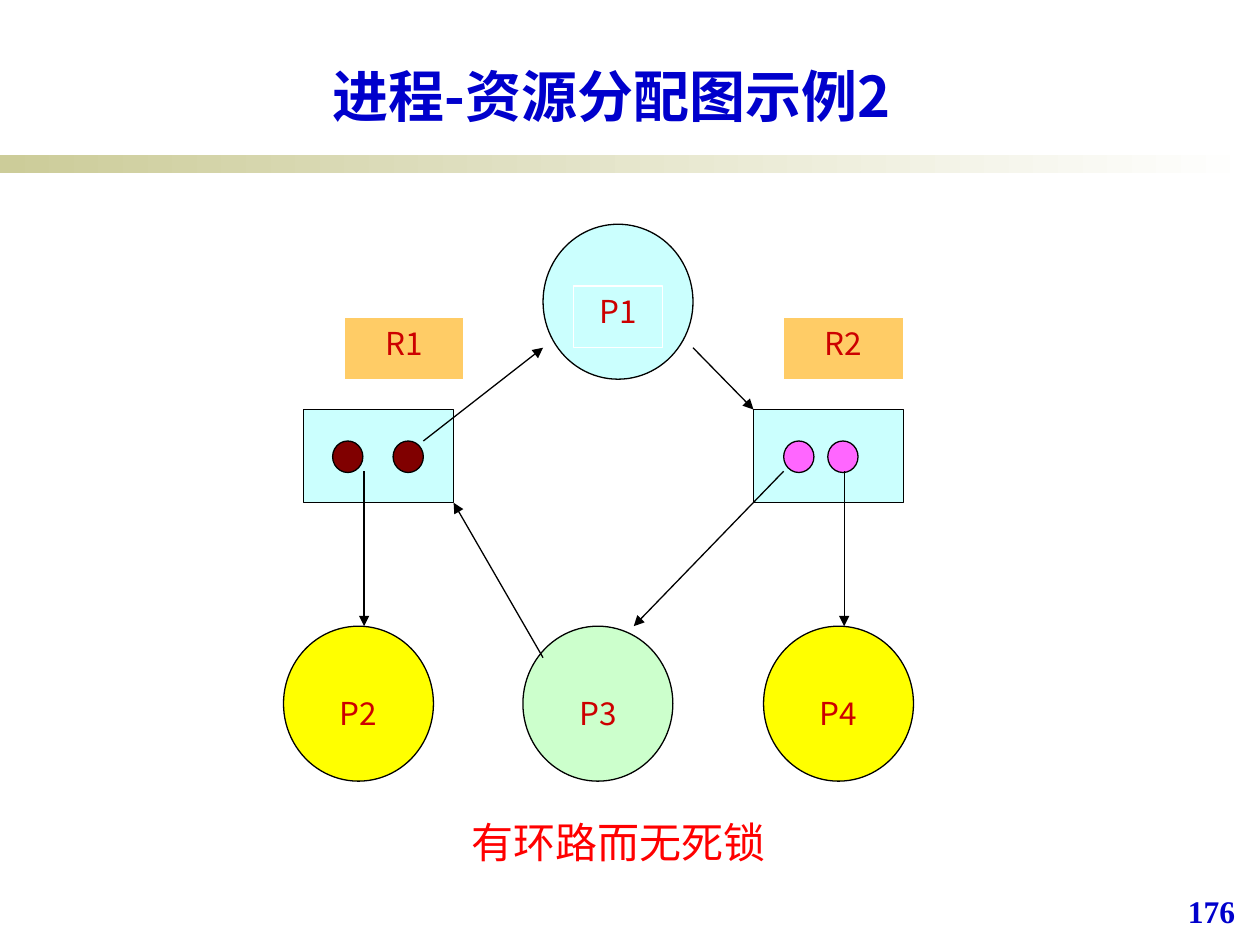
from lxml import etree
from pptx import Presentation
from pptx.dml.color import RGBColor
from pptx.enum import shapes, text
from pptx.oxml import ns
from pptx.util import Inches, Pt

SANS = "Noto Sans CJK JP"
OVAL, RECT = shapes.MSO_SHAPE.OVAL, shapes.MSO_SHAPE.RECTANGLE
color = RGBColor.from_string

prs = Presentation()
prs.slide_width, prs.slide_height = Inches(10), Inches(7.5)
slide = prs.slides.add_slide(prs.slide_layouts[5])


def add_node(kind, box, fill, outline="000000"):
    node = slide.shapes.add_shape(kind, *map(Inches, box))
    node.shadow.inherit = False
    node.fill.solid()
    node.fill.fore_color.rgb = color(fill)
    node.line.color.rgb = color(outline)
    node.line.width = Pt(0.75)
    return node


def write(holder, words, size, ink, font=SANS, bold=False,
          anchor=text.MSO_ANCHOR.TOP, align=text.PP_ALIGN.CENTER, wrap=True):
    frame = holder.text_frame
    frame.text = words
    frame.word_wrap = wrap
    frame.vertical_anchor = anchor
    paragraph = frame.paragraphs[0]
    paragraph.alignment = align
    run = paragraph.runs[0]
    run.font.size, run.font.bold, run.font.name = Pt(size), bold, font
    run.font.color.rgb = color(ink)
    etree.SubElement(run.font._element, ns.qn("a:ea"), typeface=font)


divider = add_node(RECT, (0, 1.23, 9.96, 0.14), "CCCC99")
divider.line.fill.background()
divider.fill.gradient()
divider.fill.gradient_angle = 0
for stop, position, shade in zip(divider.fill.gradient_stops, (0, 1), ("CCCC99", "FFFFFF")):
    stop.position = position
    stop.color.rgb = color(shade)

for name, left in (("R1", 2.73), ("R2", 6.22)):
    tag = add_node(RECT, (left, 2.52, 0.95, 0.49), "FFCC66", "FFFFFF")
    write(tag, name, 18, "CC0000")

processes = [
    ("P2", 2.25, 4.97, "FFFF00"),
    ("P3", 4.15, 4.97, "CCFFCC"),
    ("P4", 6.06, 4.97, "FFFF00"),
    ("P1", 4.31, 1.78, "CBFFFE"),
]
for name, left, top, fill in processes:
    add_node(OVAL, (left, top, 1.19, 1.23), fill)
    label_box = (left + 0.24, top + 0.49, 0.71, 0.49)
    if name == "P1":
        label = add_node(RECT, label_box, fill, "FFFFFF")
    else:
        label = slide.shapes.add_textbox(*map(Inches, label_box))
    write(label, name, 18, "CC0000")

resources = [(5.98, (6.22, 6.57), "FF66FF"), (2.41, (2.64, 3.12), "800000")]
for left, instances, fill in resources:
    add_node(RECT, (left, 3.25, 1.19, 0.74), "CBFFFE")
    for instance_left in instances:
        add_node(OVAL, (instance_left, 3.5, 0.24, 0.25), fill)

edges = [
    (3.36, 3.5, 4.31, 2.76),
    (5.5, 2.76, 5.98, 3.25),
    (6.7, 3.74, 6.7, 4.97),
    (6.22, 3.74, 5.03, 4.97),
    (4.31, 5.22, 3.6, 3.99),
    (2.89, 3.74, 2.89, 4.97),
]
for ends in edges:
    edge = slide.shapes.add_connector(shapes.MSO_CONNECTOR.STRAIGHT, *map(Inches, ends))
    edge.line.color.rgb = color("000000")
    edge.line.width = Pt(0.75)
    etree.SubElement(edge.line._get_or_add_ln(), ns.qn("a:tailEnd"), type="triangle")
    etree.SubElement(edge._element.spPr, ns.qn("a:effectLst"))

page_number = slide.shapes.add_textbox(Inches(9.33), Inches(7.03), Inches(0.64), Inches(0.5))
write(page_number, "176", 18, "0000CC", "Times New Roman", True, align=text.PP_ALIGN.LEFT)

title = slide.shapes.title
title.left, title.top, title.width, title.height = map(Inches, (0.83, 0.44, 8.05, 0.63))
write(title, "进程-资源分配图示例2", 32, "0000CC", bold=True, anchor=text.MSO_ANCHOR.BOTTOM)

conclusion = slide.shapes.add_textbox(Inches(3.63), Inches(6.43), Inches(2.56), Inches(0.5))
write(conclusion, "有环路而无死锁", 24, "FF0000", wrap=False)

prs.save("out.pptx")
